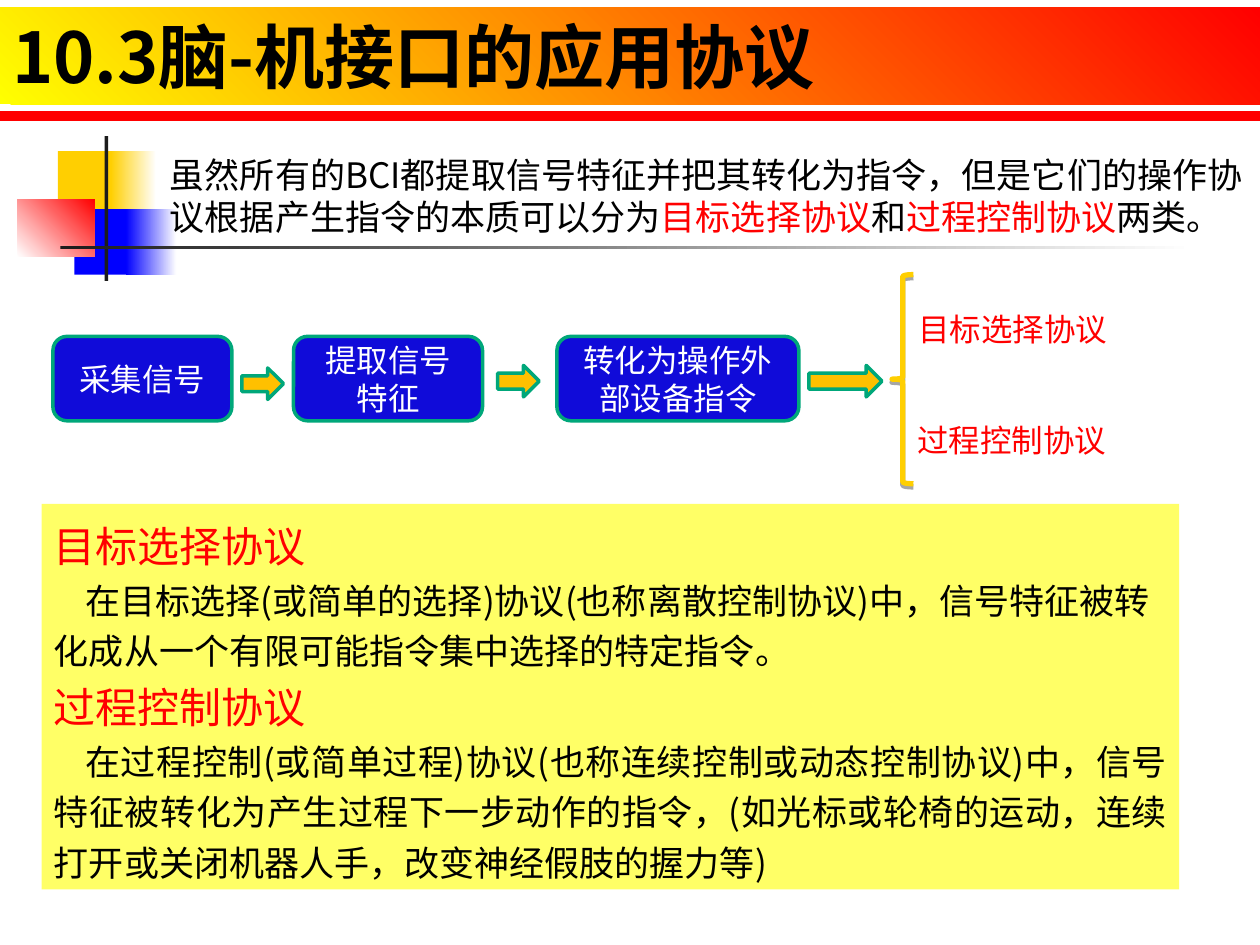
from dataclasses import dataclass
from typing import Optional

import lxml.etree
import pptx
import pptx.dml.color
import pptx.enum.shapes
import pptx.enum.text
import pptx.oxml.ns
import pptx.util

Inches = pptx.util.Inches
Pt = pptx.util.Pt
RGBColor = pptx.dml.color.RGBColor
Shape = pptx.enum.shapes.MSO_SHAPE
Align = pptx.enum.text.PP_ALIGN
Anchor = pptx.enum.text.MSO_ANCHOR
qn = pptx.oxml.ns.qn

FONT = "Noto Sans CJK SC"
BLACK = RGBColor(0x00, 0x00, 0x00)
WHITE = RGBColor(0xFF, 0xFF, 0xFF)
RED = RGBColor(0xFF, 0x00, 0x00)
BLUE = RGBColor(0x00, 0x00, 0xFF)
YELLOW = RGBColor(0xFF, 0xFF, 0x00)
GOLD = RGBColor(0xFF, 0xCF, 0x01)
CHARCOAL = RGBColor(0x1C, 0x1C, 0x1C)
PANEL = RGBColor(0xFF, 0xFF, 0x66)
STEP_BLUE = RGBColor(0x10, 0x0B, 0xD9)
STEP_GREEN = RGBColor(0x00, 0xA7, 0x7A)
AMBER = RGBColor(0xFF, 0xC0, 0x00)

TARGET = "目标选择协议"
PROCESS = "过程控制协议"


@dataclass
class Area:
    left: float
    top: float
    width: float
    height: float

    def lengths(self) -> list:
        return [Inches(v) for v in (self.left, self.top, self.width, self.height)]


@dataclass
class Block:
    area: Area
    color: RGBColor
    end: Optional[RGBColor] = None
    angle: float = 0


@dataclass
class Span:
    text: str
    color: RGBColor = BLACK
    size: float = 20
    bold: bool = False


@dataclass
class Para:
    spans: list
    align: Align = Align.LEFT
    spacing: float = 1.0
    indent: float = 0


DECORATION = [
    Block(Area(0.46, 1.2, 0.48, 0.52), GOLD),
    Block(Area(0.88, 1.2, 0.36, 0.52), GOLD, WHITE),
    Block(Area(0.59, 1.66, 0.46, 0.52), BLUE),
    Block(Area(1, 1.66, 0.4, 0.52), BLUE, WHITE),
    Block(Area(0.14, 1.58, 0.61, 0.46), WHITE, RED, 45),
    Block(Area(0.83, 1.08, 0.03, 1.15), CHARCOAL),
    Block(Area(0.48, 1.95, 9, 0.03), CHARCOAL, WHITE),
]
STEPS = [
    ("采集信号", Area(0.42, 2.67, 1.42, 0.67)),
    ("提取信号特征", Area(2.33, 2.67, 1.5, 0.67)),
    ("转化为操作外部设备指令", Area(4.42, 2.67, 1.92, 0.67)),
]
ARROWS = [
    Area(1.92, 2.92, 0.33, 0.25),
    Area(3.95, 2.9, 0.33, 0.25),
    Area(6.42, 2.9, 0.58, 0.25),
]
OUTCOMES = [
    (TARGET, Area(7.19, 2.35, 1.7, 0.46)),
    (PROCESS, Area(7.18, 3.23, 1.7, 0.46)),
]


def apply(target, values: dict) -> None:
    for name, value in values.items():
        setattr(target, name, value)


def add_element(parent, tag: str, **values: str):
    return lxml.etree.SubElement(parent, qn(tag), values)


def write(box, paras: list, wrap: bool = True, anchor: Anchor = Anchor.TOP) -> None:
    frame = box.text_frame
    apply(frame, {"word_wrap": wrap, "vertical_anchor": anchor})
    for index, item in enumerate(paras):
        para = frame.add_paragraph() if index else frame.paragraphs[0]
        apply(para, {"alignment": item.align, "line_spacing": item.spacing})
        if item.indent:
            para._p.get_or_add_pPr().set("indent", str(Inches(item.indent)))
        for part in item.spans:
            span = para.add_run()
            span.text = part.text
            apply(span.font, {"name": FONT, "size": Pt(part.size), "bold": part.bold})
            span.font.color.rgb = part.color
            add_element(span.font._element, "a:ea", typeface=FONT)


def draw_block(page, block: Block):
    shape = page.shapes.add_shape(Shape.RECTANGLE, *block.area.lengths())
    shape.shadow.inherit = False
    shape.line.fill.background()
    if block.end is None:
        shape.fill.solid()
        shape.fill.fore_color.rgb = block.color
    else:
        shape.fill.gradient()
        shape.fill.gradient_angle = block.angle
        for stop, color in zip(shape.fill.gradient_stops, (block.color, block.end)):
            stop.color.rgb = color
    return shape


def draw_outlined(page, kind: Shape, area: Area, fill: RGBColor):
    shape = page.shapes.add_shape(kind, *area.lengths())
    shape.shadow.inherit = False
    shape.fill.solid()
    shape.fill.fore_color.rgb = fill
    shape.line.color.rgb = STEP_GREEN
    shape.line.width = Pt(2)
    return shape


def draw_text(page, area: Area, para: Para, wrap: bool = True) -> None:
    write(page.shapes.add_textbox(*area.lengths()), [para], wrap)


def draw_rule(page) -> None:
    rule = page.shapes.add_connector(
        pptx.enum.shapes.MSO_CONNECTOR.STRAIGHT,
        Inches(0), Inches(0.92), Inches(10), Inches(0.92),
    )
    rule.line.color.rgb = RED
    rule.line.width = Pt(6)
    add_element(rule._element.spPr, "a:effectLst")


def draw_brace(page, area: Area) -> None:
    brace = page.shapes.add_shape(Shape.LEFT_BRACE, *area.lengths())
    brace.shadow.inherit = False
    brace.fill.background()
    brace.line.color.rgb = GOLD
    brace.line.width = Pt(3)
    effects = brace._element.spPr.find(qn("a:effectLst"))
    shadow = add_element(effects, "a:outerShdw", blurRad="0", dist=str(Pt(1.8)),
                         dir="5400000", rotWithShape="0")
    color = add_element(shadow, "a:srgbClr", val=str(BLACK))
    add_element(color, "a:alpha", val="35000")


def main() -> None:
    deck = pptx.Presentation()
    apply(deck, {"slide_width": Inches(10), "slide_height": Inches(7.5)})
    page = deck.slides.add_slide(deck.slide_layouts[6])

    for block in DECORATION:
        draw_block(page, block)

    title = draw_block(page, Block(Area(0, 0.06, 10, 0.77), YELLOW, RED, 45))
    write(title, [Para([Span("10.3脑-机接口的应用协议", size=40, bold=True)])])
    draw_rule(page)

    panel = draw_block(page, Block(Area(0.33, 4, 9.03, 3.06), PANEL))
    write(panel, [
        Para([Span(TARGET, RED, 24)], spacing=1.2),
        Para([Span("在目标选择(或简单的选择)协议(也称离散控制协议)中，信号特征"
                   "被转化成从一个有限可能指令集中选择的特定指令。")],
             spacing=1.2, indent=0.25),
        Para([Span(PROCESS, RED, 24)], spacing=1.2),
        Para([Span("在过程控制(或简单过程)协议(也称连续控制或动态控制协议)中，"
                   "信号特征被转化为产生过程下一步动作的指令，(如光标或轮椅的运动，"
                   "连续打开或关闭机器人手，改变神经假肢的握力等)")],
             Align.JUSTIFY, 1.2, 0.25),
    ])

    draw_text(page, Area(1.25, 1.17, 8.75, 1.4), Para([
        Span("虽然所有的BCI都提取信号特征并把其转化为指令，但是它们的操作"
             "协议根据产生指令的本质可以分为"),
        Span(TARGET, RED), Span("和"), Span(PROCESS, RED), Span("两类。"),
    ]))

    for label, area in STEPS:
        step = draw_outlined(page, Shape.ROUNDED_RECTANGLE, area, STEP_BLUE)
        write(step, [Para([Span(label, WHITE, 18)], Align.CENTER)], anchor=Anchor.MIDDLE)
    for area in ARROWS:
        draw_outlined(page, Shape.RIGHT_ARROW, area, AMBER)
    draw_brace(page, Area(7.08, 2.18, 0.17, 1.66))
    for label, area in OUTCOMES:
        draw_text(page, area, Para([Span(label, RED, 18)], spacing=1.2), wrap=False)

    deck.save("out.pptx")


if __name__ == "__main__":
    main()
